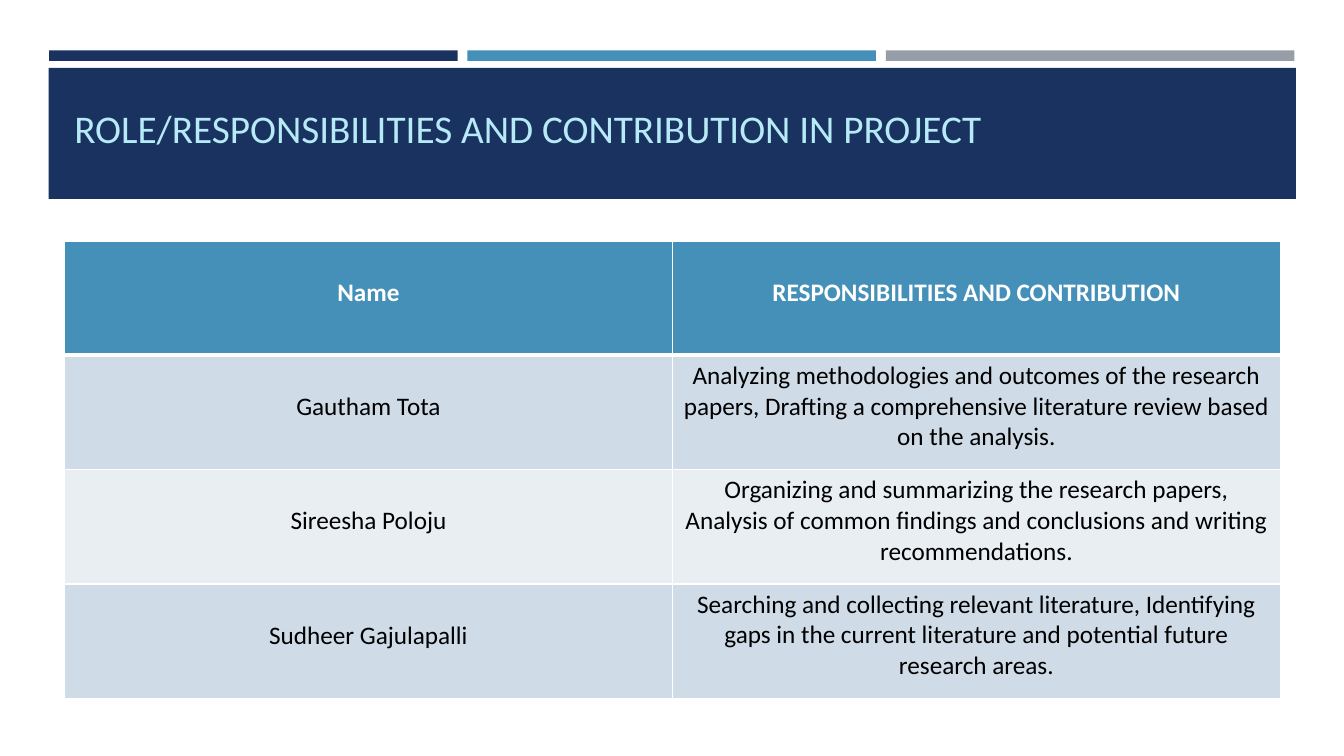
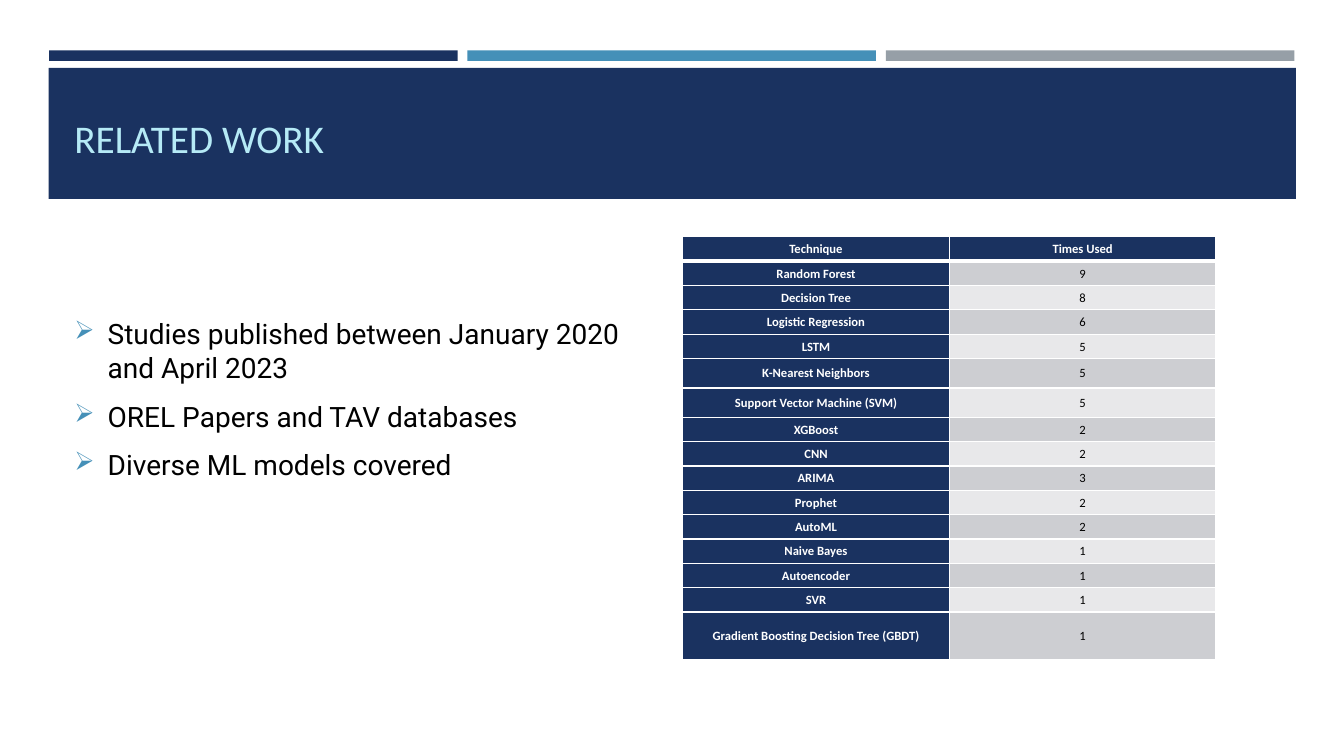
from lxml.etree import SubElement
from pptx import Presentation
from pptx.dml.color import RGBColor
from pptx.enum.shapes import MSO_SHAPE as Shape
from pptx.enum.text import MSO_ANCHOR as Anchor, PP_ALIGN as Align
from pptx.oxml.ns import qn
from pptx.util import Inches, Pt

WIDTH, HEIGHT = Inches(13.33), Inches(7.5)

NAVY = RGBColor(0x1A, 0x32, 0x60)
BLUE = RGBColor(0x45, 0x90, 0xB8)
GRAY = RGBColor(0x96, 0x9F, 0xA7)
ICE = RGBColor(0xB5, 0xEA, 0xF6)
WHITE = RGBColor(0xFF, 0xFF, 0xFF)
BLACK = RGBColor(0x00, 0x00, 0x00)
BLUE_BANDS = (RGBColor(0xCF, 0xDB, 0xE6), RGBColor(0xE9, 0xEE, 0xF3))
GRAY_BANDS = (RGBColor(0xCD, 0xCE, 0xD2), RGBColor(0xE8, 0xE8, 0xEA))

BODY_FONT = "Calibri"
LIST_FONT = "Roboto"
LEFT, CONTENT_WIDTH = 4.8, 90.47
TITLE_TOP = 10.27
STRIPE_LEFT, STRIPE_WIDTH, STRIPE_STEP = 3.65, 30.4, 31.13

ROLES = [
    ("Name", "RESPONSIBILITIES AND CONTRIBUTION"),
    ("Gautham Tota",
     "Analyzing methodologies and outcomes of the research papers, "
     "Drafting a comprehensive literature review based on the analysis."),
    ("Sireesha Poloju",
     "Organizing and summarizing the research papers, Analysis of common "
     "findings and conclusions and writing recommendations."),
    ("Sudheer Gajulapalli",
     "Searching and collecting relevant literature, Identifying gaps in the "
     "current literature and potential future research areas."),
]

TECHNIQUES = [
    ("Technique", "Times Used"),
    ("Random Forest", "9"),
    ("Decision Tree", "8"),
    ("Logistic Regression", "6"),
    ("LSTM", "5"),
    ("K-Nearest Neighbors", "5"),
    ("Support Vector Machine (SVM)", "5"),
    ("XGBoost", "2"),
    ("CNN", "2"),
    ("ARIMA", "3"),
    ("Prophet", "2"),
    ("AutoML", "2"),
    ("Naive Bayes", "1"),
    ("Autoencoder", "1"),
    ("SVR", "1"),
    ("Gradient Boosting Decision Tree (GBDT)", "1"),
]

STUDY_SCOPE = [
    "Studies published between January 2020 and April 2023",
    "OREL Papers and TAV databases",
    "Diverse ML models covered",
]


def across(percent):
    return round(WIDTH * percent / 100)


def down(percent):
    return round(HEIGHT * percent / 100)


def area(left, top, width, height):
    return across(left), down(top), across(width), down(height)


def set_font(para, name, size, color, bold=False):
    font = para.font
    font.name, font.size, font.bold = name, Pt(size), bold
    font.color.rgb = color


def add_bar(page, place, color):
    bar = page.shapes.add_shape(Shape.RECTANGLE, *place)
    bar.shadow.inherit = False
    bar.fill.solid()
    bar.fill.fore_color.rgb = color
    bar.line.fill.background()


def add_text_frame(page, place, anchor):
    frame = page.shapes.add_textbox(*place).text_frame
    frame.word_wrap = True
    frame.vertical_anchor = anchor
    return frame


def add_titled_page(deck, title, title_height):
    page = deck.slides.add_slide(deck.slide_layouts[6])
    for index, color in enumerate((NAVY, BLUE, GRAY)):
        left = STRIPE_LEFT + index * STRIPE_STEP
        add_bar(page, area(left, 6.67, STRIPE_WIDTH, 1.4), color)
    add_bar(page, area(3.63, 8.97, 92.8, 17.33), NAVY)
    place = area(LEFT, TITLE_TOP, CONTENT_WIDTH, title_height)
    para = add_text_frame(page, place, Anchor.BOTTOM).paragraphs[0]
    para.text = title
    set_font(para, BODY_FONT, 28, ICE)
    return page


def add_bullet(para, symbol, color, size_percent, indent):
    properties = para._p.get_or_add_pPr()
    properties.set("marL", str(indent))
    properties.set("indent", str(-indent))
    tint = SubElement(properties, qn("a:buClr"))
    SubElement(tint, qn("a:srgbClr"), val=str(color))
    SubElement(properties, qn("a:buSzPct"), val=str(size_percent * 1000))
    SubElement(properties, qn("a:buChar"), char=symbol)


def add_bullet_list(page, place, items):
    frame = add_text_frame(page, place, Anchor.MIDDLE)
    for index, item in enumerate(items):
        para = frame.add_paragraph() if index else frame.paragraphs[0]
        para.text = item
        add_bullet(para, "➢", BLUE, 92, Inches(0.33))
        para.space_before, para.space_after = Pt(4.7), Pt(6)
        set_font(para, LIST_FONT, 20, BLACK)


def set_borders(cell, top, bottom):
    properties = cell._tc.get_or_add_tcPr()
    for side, width in (("L", 1), ("R", 1), ("T", top), ("B", bottom)):
        line = SubElement(properties, qn(f"a:ln{side}"), w=str(Pt(width)))
        paint = SubElement(line, qn("a:solidFill"))
        SubElement(paint, qn("a:srgbClr"), val=str(WHITE))


def add_grid(page, left, top, column_width, heights, rows, size,
             header_fill, bands, dark_names=False):
    columns = len(rows[0])
    place = area(left, top, column_width * columns, sum(heights))
    table = page.shapes.add_table(len(rows), columns, *place).table
    table.first_row = table.horz_banding = False
    for column in table.columns:
        column.width = across(column_width)
    for row_index, (texts, height) in enumerate(zip(rows, heights)):
        table.rows[row_index].height = down(height)
        for column_index, text in enumerate(texts):
            cell = table.cell(row_index, column_index)
            strong = row_index == 0 or (dark_names and column_index == 0)
            set_borders(cell, 3 if row_index == 1 else 1,
                        3 if row_index == 0 else 1)
            cell.fill.solid()
            cell.fill.fore_color.rgb = (
                header_fill if strong else bands[(row_index - 1) % 2])
            para = cell.text_frame.paragraphs[0]
            para.text = text
            para.alignment = Align.CENTER
            set_font(para, BODY_FONT, size, WHITE if strong else BLACK, strong)
    return table


def add_roles_page(deck):
    page = add_titled_page(
        deck, "ROLE/RESPONSIBILITIES AND CONTRIBUTION IN PROJECT", 10.4)
    heights = [60.53 / len(ROLES)] * len(ROLES)
    table = add_grid(page, LEFT, 31.87, CONTENT_WIDTH / 2, heights, ROLES, 18,
                     BLUE, BLUE_BANDS)
    short_cells = [table.cell(row, 0) for row in range(len(ROLES))]
    for cell in short_cells + [table.cell(0, 1)]:
        cell.margin_top = down(4.8)


def add_related_work_page(deck):
    page = add_titled_page(deck, "RELATED WORK", 11.73)
    add_bullet_list(page, area(LEFT, 31.73, CONTENT_WIDTH / 2, 42.13),
                    STUDY_SCOPE)
    heights = [3.22] * 5 + [3.9] * 2 + [3.22] * 8 + [6.3]
    table = add_grid(page, 50.79, 31.33, 19.84, heights, TECHNIQUES, 9,
                     NAVY, GRAY_BANDS, dark_names=True)
    for cell in table.iter_cells():
        cell.vertical_anchor = Anchor.MIDDLE
        cell.margin_left = cell.margin_right = Inches(0.07)
        cell.margin_top = cell.margin_bottom = 0
        cell.text_frame.paragraphs[0].line_spacing = 1.06


def main():
    deck = Presentation()
    deck.slide_width, deck.slide_height = WIDTH, HEIGHT
    add_roles_page(deck)
    add_related_work_page(deck)
    deck.save("out.pptx")


if __name__ == "__main__":
    main()
